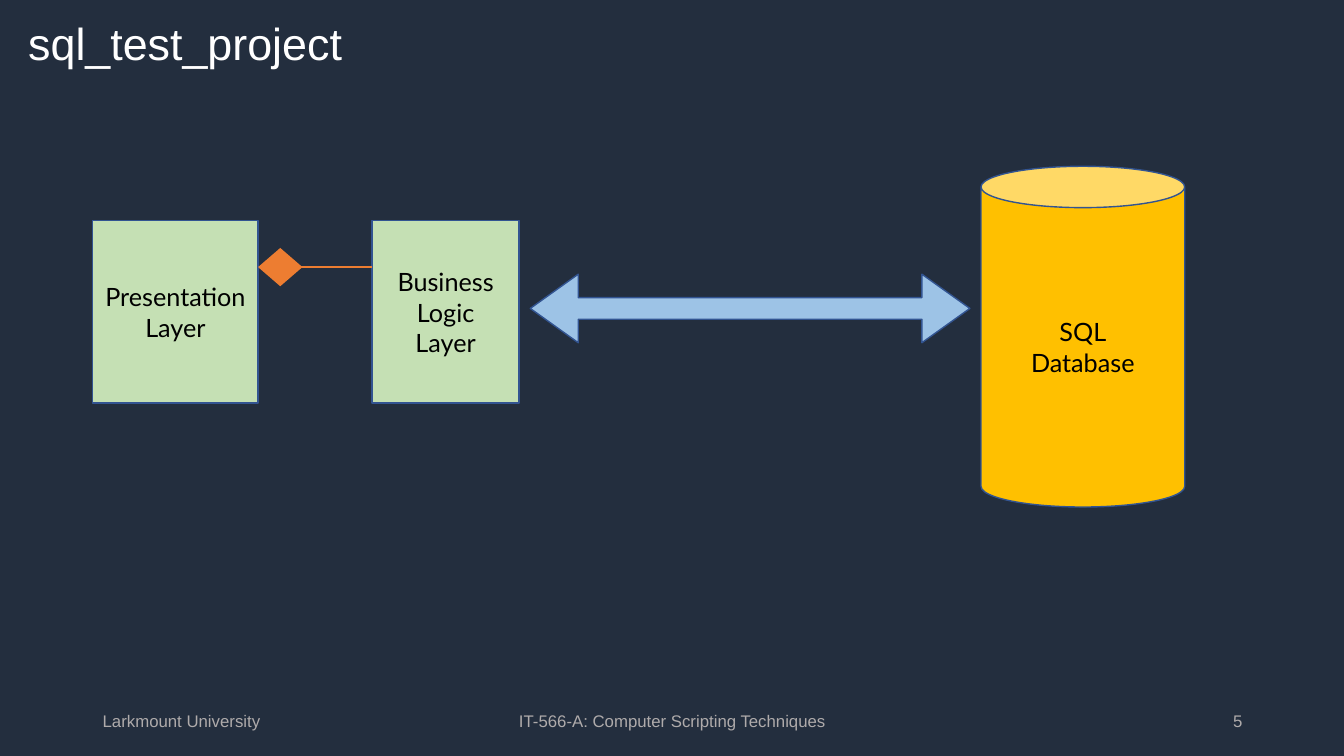
from dataclasses import dataclass

from lxml.etree import SubElement
from pptx import Presentation
from pptx.dml.color import RGBColor as RGB
from pptx.enum.shapes import MSO_CONNECTOR as CONN, MSO_SHAPE as SHAPE
from pptx.enum.text import MSO_ANCHOR as ANCHOR, PP_ALIGN as ALIGN
from pptx.oxml.ns import qn
from pptx.util import Inches, Pt


@dataclass(frozen=True)
class Theme:
    background: str = "232E3E"
    title: str = "FFFFFF"
    footer: str = "AFABAB"
    label: str = "000000"
    outline: str = "325491"
    layer: str = "C5E0B4"
    database: str = "FFC000"
    exchange: str = "9DC3E6"
    aggregation: str = "ED7D31"
    heading_font: str = "Arial"
    label_font: str = "Lato"
    title_size: int = 32
    label_size: int = 18
    footer_size: int = 12


THEME = Theme()

TITLE = "sql_test_project"
FOOTERS = [  # text, left, width, alignment
    ("Larkmount University", 0.92, 3, ALIGN.LEFT),
    ("IT-566-A: Computer Scripting Techniques", 4.42, 4.5, ALIGN.CENTER),
    ("5", 9.42, 3, ALIGN.RIGHT),
]
FOOTER_TOP, FOOTER_HEIGHT = 6.95, 0.4

LAYER_TOP, LAYER_HEIGHT = 2.19, 1.81
LAYERS = [  # lines, left, width
    (("Presentation", "Layer"), 0.92, 1.64),
    (("Business", "Logic", "Layer"), 3.69, 1.46),
]
DATABASE = ("SQL", "Database")
DATABASE_BOX = (9.73, 1.65, 2.02, 3.38)
DIAMOND_TOP, DIAMOND_WIDTH, DIAMOND_HEIGHT = 2.46, 0.44, 0.38
LINE_OVERLAP = 0.08
ARROW_TOP, ARROW_HEIGHT, ARROW_GAP = 2.72, 0.68, 0.11


def color(value):
    return RGB.from_string(value)


def write(tf, lines, font, size, text_color, align):
    """Fill a frame with one paragraph whose lines are split by line breaks."""
    tf.word_wrap = True
    tf.vertical_anchor = ANCHOR.MIDDLE
    p = tf.paragraphs[0]
    for i, line in enumerate(lines):
        if i:
            p.add_line_break()
        p.add_run().text = line
    p.alignment = align
    p.font.name = font
    p.font.size = Pt(size)
    p.font.color.rgb = color(text_color)
    return p


def add_shape(slide, kind, box, fill, outlined=True, lines=(), adjustments=()):
    sp = slide.shapes.add_shape(kind, *map(Inches, box))
    sp.shadow.inherit = False
    sp.fill.solid()
    sp.fill.fore_color.rgb = color(fill)
    if outlined:
        sp.line.color.rgb = color(THEME.outline)
        sp.line.width = Pt(1)
    else:
        sp.line.fill.background()
    for i, value in enumerate(adjustments):
        sp.adjustments[i] = value
    if lines:
        write(sp.text_frame, lines, THEME.label_font, THEME.label_size,
              THEME.label, ALIGN.CENTER)
    return sp


def add_title(slide):
    title = slide.shapes.title
    title.left, title.top = Inches(0.18), Inches(0.15)
    title.width, title.height = Inches(12.99), Inches(0.61)
    p = write(title.text_frame, [TITLE], THEME.heading_font,
              THEME.title_size, THEME.title, ALIGN.LEFT)
    p.line_spacing = 0.9


def add_footers(slide):
    for text, left, width, align in FOOTERS:
        box = slide.shapes.add_textbox(Inches(left), Inches(FOOTER_TOP),
                                       Inches(width), Inches(FOOTER_HEIGHT))
        write(box.text_frame, [text], THEME.heading_font,
              THEME.footer_size, THEME.footer, align)


def add_diagram(slide):
    add_shape(slide, SHAPE.CAN, DATABASE_BOX, THEME.database,
              lines=DATABASE, adjustments=[0.203])
    for lines, left, width in LAYERS:
        add_shape(slide, SHAPE.RECTANGLE, (left, LAYER_TOP, width, LAYER_HEIGHT),
                  THEME.layer, lines=lines)

    (_, first_left, first_width), (_, second_left, second_width) = LAYERS
    diamond_left = first_left + first_width
    add_shape(slide, SHAPE.DIAMOND,
              (diamond_left, DIAMOND_TOP, DIAMOND_WIDTH, DIAMOND_HEIGHT),
              THEME.aggregation, outlined=False)
    line_left = diamond_left + DIAMOND_WIDTH - LINE_OVERLAP
    line_y = Inches(DIAMOND_TOP + DIAMOND_HEIGHT / 2)
    line = slide.shapes.add_connector(CONN.STRAIGHT, Inches(line_left), line_y,
                                      Inches(second_left), line_y)
    line.line.color.rgb = color(THEME.aggregation)
    line.line.width = Pt(1.5)
    SubElement(line._element.spPr, qn("a:effectLst"))

    arrow_left = second_left + second_width + ARROW_GAP
    arrow_width = DATABASE_BOX[0] - ARROW_GAP - arrow_left
    add_shape(slide, SHAPE.LEFT_RIGHT_ARROW,
              (arrow_left, ARROW_TOP, arrow_width, ARROW_HEIGHT),
              THEME.exchange, adjustments=[0.315, 0.7])


def main():
    prs = Presentation()
    prs.slide_width, prs.slide_height = Inches(13.33), Inches(7.5)
    slide = prs.slides.add_slide(prs.slide_layouts.get_by_name("Title Only"))
    slide.background.fill.solid()
    slide.background.fill.fore_color.rgb = color(THEME.background)
    add_title(slide)
    add_footers(slide)
    add_diagram(slide)
    prs.save("out.pptx")


if __name__ == "__main__":
    main()
